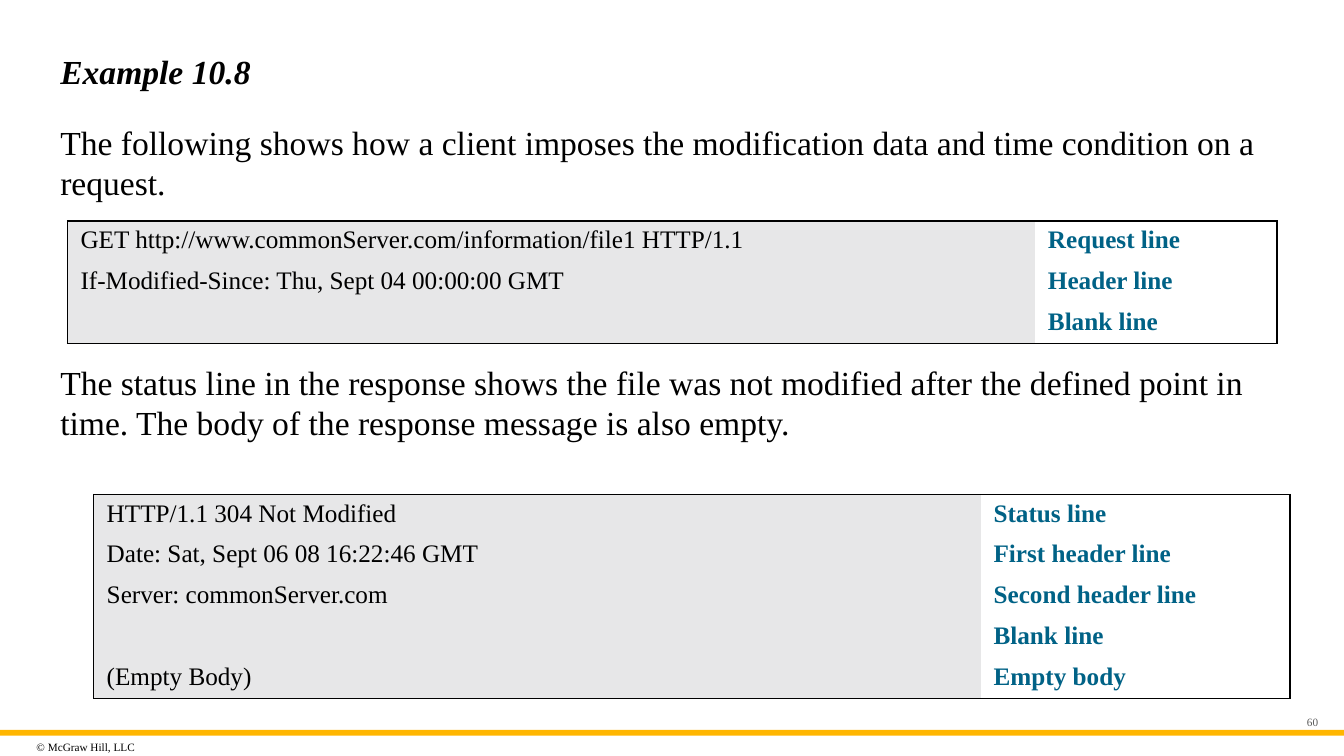
from lxml import etree
from pptx import Presentation, util as u
from pptx.dml.color import RGBColor
from pptx.enum import shapes, text
from pptx.oxml import ns

BLACK = RGBColor(0x00, 0x00, 0x00)
TEAL = RGBColor(0x00, 0x62, 0x86)
GREY = RGBColor(0x59, 0x59, 0x59)
PALE = RGBColor(0xE7, 0xE7, 0xE8)
AMBER = RGBColor(0xFF, 0xB6, 0x00)

REQUEST = [
    ("GET http://www.commonServer.com/information/file1 HTTP/1.1", "Request line"),
    ("If-Modified-Since: Thu, Sept 04 00:00:00 GMT", "Header line"),
    ("", "Blank line"),
]
RESPONSE = [
    ("HTTP/1.1 304 Not Modified", "Status line"),
    ("Date: Sat, Sept 06 08 16:22:46 GMT", "First header line"),
    ("Server: commonServer.com", "Second header line"),
    ("", "Blank line"),
    ("(Empty Body)", "Empty body"),
]


def write(frame, words, size=24, color=BLACK, bold=False, italic=False,
          align=text.PP_ALIGN.LEFT, after=0):
    para = frame.paragraphs[0]
    para.alignment = align
    para.space_after = u.Pt(after)
    if words:
        span = para.add_run()
        span.text = words
        font = span.font
        font.name, font.size = "Times New Roman", u.Pt(size)
        font.bold, font.italic = bold, italic
        font.color.rgb = color


def outline(cell, drawn):
    """Draw a black line on the named sides of a cell and clear the others."""
    properties = cell._tc.get_or_add_tcPr()
    for side in "LRTB":
        line = etree.SubElement(properties, ns.qn(f"a:ln{side}"), w=str(u.Pt(1)))
        if side in drawn:
            fill = etree.SubElement(line, ns.qn("a:solidFill"))
            etree.SubElement(fill, ns.qn("a:srgbClr"), val=str(BLACK))
        else:
            etree.SubElement(line, ns.qn("a:noFill"))


class SlideBuilder:
    row_height = u.Cm(1.03)
    cell_margin = u.Cm(0.33)

    def __init__(self, deck):
        self.slide = deck.slides.add_slide(deck.slide_layouts[6])

    def bar(self, left, top, width, height, color):
        bar = self.slide.shapes.add_shape(
            shapes.MSO_SHAPE.RECTANGLE, *map(u.Cm, (left, top, width, height)))
        bar.shadow.inherit = False
        bar.fill.solid()
        bar.fill.fore_color.rgb = color
        bar.line.fill.background()

    def text(self, words, left, top, width, height,
             anchor=text.MSO_ANCHOR.MIDDLE, side_margins=(0.25, 0.25), **style):
        box = self.slide.shapes.add_textbox(*map(u.Cm, (left, top, width, height)))
        frame = box.text_frame
        frame.word_wrap = True
        frame.vertical_anchor = anchor
        frame.margin_left, frame.margin_right = map(u.Cm, side_margins)
        write(frame, words, **style)

    def body(self, words, top, height):
        self.text(words, 1.27, top, 31.32, height,
                  anchor=text.MSO_ANCHOR.TOP, after=8)

    def message(self, rows, left, top, widths):
        """Table of message lines on grey, each with its label at the right."""
        table = self.slide.shapes.add_table(
            len(rows), 2, u.Cm(left), u.Cm(top),
            u.Cm(sum(widths)), self.row_height * len(rows)).table
        table.first_row = table.horz_banding = False
        for column, width in zip(table.columns, widths):
            column.width = u.Cm(width)
        for i, row in enumerate(rows):
            table.rows[i].height = self.row_height
            ends = ("T" if i == 0 else "") + ("B" if i == len(rows) - 1 else "")
            for j, words in enumerate(row):
                cell = table.cell(i, j)
                cell.margin_left = cell.margin_right = self.cell_margin
                outline(cell, "LR"[j] + ends)
                if j == 0:
                    cell.fill.solid()
                    cell.fill.fore_color.rgb = PALE
                else:
                    cell.fill.background()
                write(cell.text_frame, words, size=18,
                      color=(BLACK, TEAL)[j], bold=j == 1)


def main():
    deck = Presentation()
    deck.slide_width, deck.slide_height = u.Cm(33.87), u.Cm(19.05)
    page = SlideBuilder(deck)
    page.bar(0, 18.39, 33.87, 0.15, AMBER)
    page.text("© McGraw Hill, LLC", 0.79, 18.52, 4.57, 0.61,
              side_margins=(0.13, 0.13), size=8)
    page.text("Example 10.8", 1.27, 0.84, 31.32, 1.88, bold=True, italic=True)
    page.body("The following shows how a client imposes the modification data "
              "and time condition on a request.", 2.95, 2.31)
    page.message(REQUEST, 1.7, 5.57, (24.38, 6.1))
    page.body("The status line in the response shows the file was not modified "
              "after the defined point in time. The body of the response message "
              "is also empty.", 8.99, 3.15)
    page.message(RESPONSE, 2.36, 12.46, (22.35, 7.8))
    page.text("60", 32.03, 17.96, 1.32, 0.46, side_margins=(0.25, 0.13),
              size=8, color=GREY, align=text.PP_ALIGN.RIGHT)
    deck.save("out.pptx")


if __name__ == "__main__":
    main()
